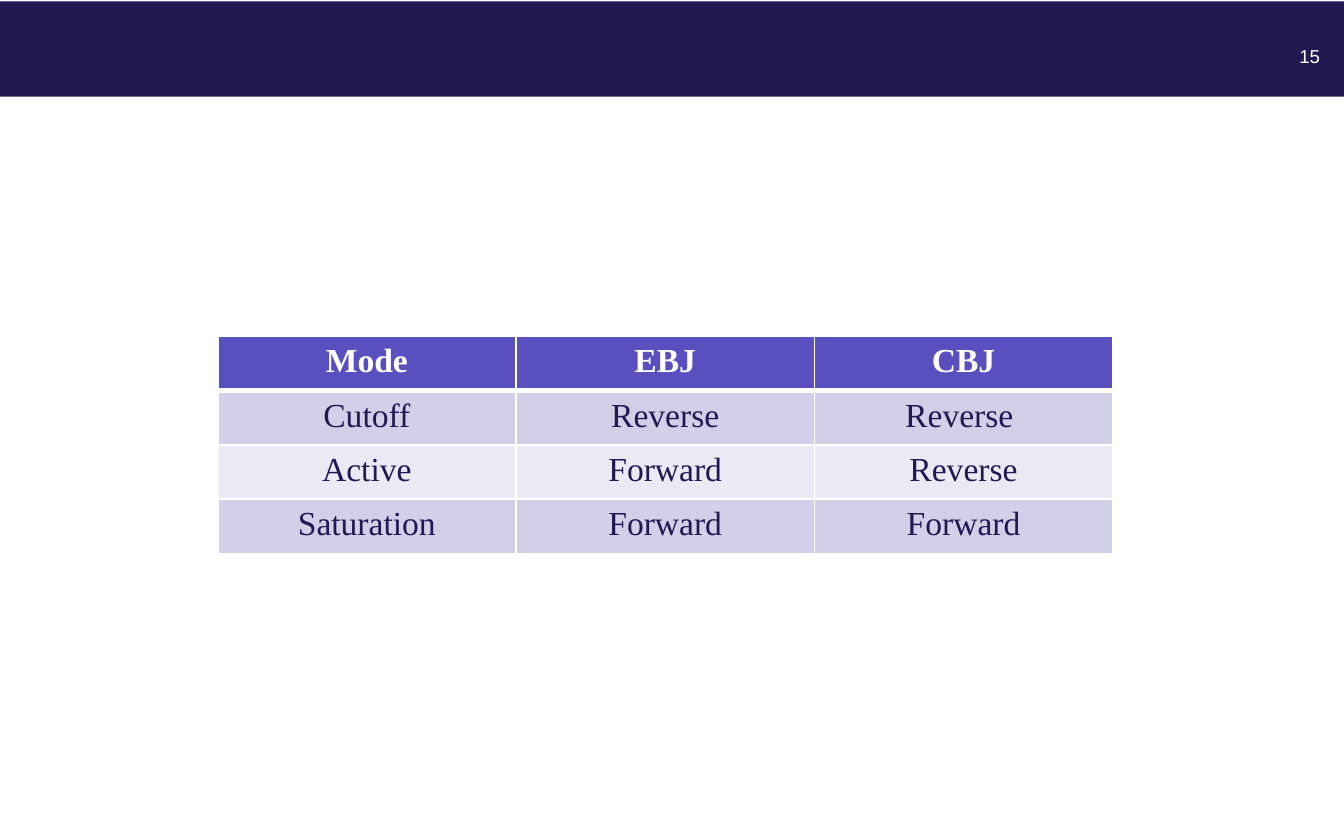
from lxml import etree
from pptx import Presentation
from pptx.dml.color import RGBColor
from pptx.enum.shapes import MSO_SHAPE
from pptx.enum.text import MSO_ANCHOR, PP_ALIGN
from pptx.oxml.ns import qn
from pptx.util import Inches, Pt

RECT = MSO_SHAPE.RECTANGLE
MIDDLE = MSO_ANCHOR.MIDDLE
CENTER, RIGHT = PP_ALIGN.CENTER, PP_ALIGN.RIGHT
NAVY, WHITE, VIOLET = "211A52", "FFFFFF", "594FBF"
BANDS = ["D1D0E8", "EAE9F4"]
MODES = [
    ["Mode", "EBJ", "CBJ"],
    ["Cutoff", "Reverse", "Reverse "],
    ["Active", "Forward", "Reverse"],
    ["Saturation", "Forward", "Forward"],
]


def paint(color, value):
    color.rgb = RGBColor.from_string(value)


def fill(item, value):
    item.fill.solid()
    paint(item.fill.fore_color, value)


def write(frame, text, font, size, color, align, bold=False):
    line = frame.paragraphs[0]
    line.alignment = align
    run = line.add_run()
    run.text = text
    run.font.name = font
    run.font.size = Pt(size)
    run.font.bold = bold
    paint(run.font.color, color)


def add_bar(slide):
    bar = slide.shapes.add_shape(RECT, 0, Inches(0.01), Inches(10), Inches(0.71))
    bar.shadow.inherit = False
    fill(bar, NAVY)
    bar.line.fill.background()


def add_number(slide, text):
    box = slide.shapes.add_textbox(Inches(9.4), Inches(0.25), Inches(0.52), Inches(0.33))
    frame = box.text_frame
    frame.word_wrap = True
    frame.vertical_anchor = MIDDLE
    write(frame, text, "Arial", 10, WHITE, RIGHT)


def edge(cell, widths):
    props = cell._tc.get_or_add_tcPr()
    for spot, (side, width) in enumerate(widths.items()):
        line = etree.Element(qn(f"a:ln{side}"), w=str(Pt(width)))
        solid = etree.SubElement(line, qn("a:solidFill"))
        etree.SubElement(solid, qn("a:srgbClr"), val=WHITE)
        props.insert(spot, line)


def add_table(slide, rows):
    wide, high = 2.22, 0.405
    count = len(rows[0])
    table = slide.shapes.add_table(
        len(rows), count, Inches(1.62), Inches(2.5),
        Inches(wide * count), Inches(high * len(rows))).table
    for col in table.columns:
        col.width = Inches(wide)
    for r, row in enumerate(rows):
        table.rows[r].height = Inches(high)
        head = r == 0
        widths = {"L": 1, "R": 1, "T": 3 if r == 1 else 1, "B": 3 if head else 1}
        for c, text in enumerate(row):
            cell = table.cell(r, c)
            fill(cell, VIOLET if head else BANDS[(r - 1) % 2])
            edge(cell, widths)
            write(cell.text_frame, text, "Times New Roman", 18,
                  WHITE if head else NAVY, CENTER, head)


def main():
    deck = Presentation()
    deck.slide_width, deck.slide_height = Inches(10), Inches(6.25)
    slide = deck.slides.add_slide(deck.slide_layouts[6])
    fill(slide.background, WHITE)
    add_bar(slide)
    add_number(slide, "15")
    add_table(slide, MODES)
    deck.save("out.pptx")


if __name__ == "__main__":
    main()
